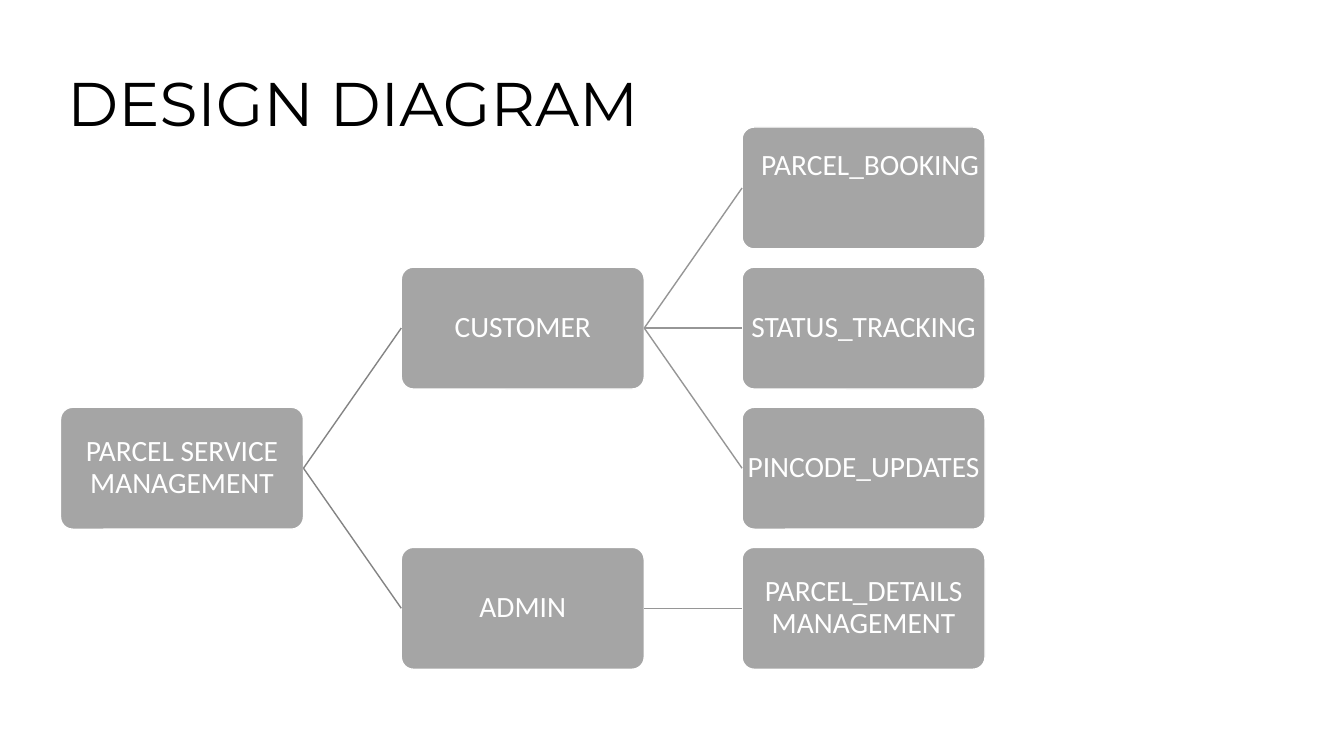
"""Build the design diagram slide: a three-level tree of rounded boxes."""
from dataclasses import dataclass

from lxml.etree import SubElement
from pptx import Presentation
from pptx.dml.color import RGBColor
from pptx.enum.shapes import MSO_CONNECTOR as CONN, MSO_SHAPE as SHAPE
from pptx.enum.text import MSO_ANCHOR as ANCHOR, PP_ALIGN as ALIGN
from pptx.oxml.ns import qn
from pptx.shapes.autoshape import Shape
from pptx.slide import Slide
from pptx.util import Pt

PX = 9144
COLORS = {"box": "A5A5A5", "white": "FFFFFF", "title": "000000",
          "trunk": "848484", "branch": "969696"}
LEFT, TOP = 60, 126
COL_STEP, ROW_STEP = 338, 139
BOX_W, BOX_H = 241, 121
INSET = 1


@dataclass(frozen=True)
class Node:
    label: str
    col: int
    row: int
    pad_left: int = 0
    pad_bottom: int = 0


@dataclass(frozen=True)
class Link:
    parent: str
    child: str
    color: str


NODES = [
    Node("PARCEL SERVICE MANAGEMENT", 0, 2),
    Node("CUSTOMER", 1, 1),
    Node("ADMIN", 1, 3),
    Node("PARCEL_BOOKING", 2, 0, pad_left=13, pad_bottom=44),
    Node("STATUS_TRACKING", 2, 1),
    Node("PINCODE_UPDATES", 2, 2),
    Node("PARCEL_DETAILS MANAGEMENT", 2, 3),
]
LINKS = [
    Link("PARCEL SERVICE MANAGEMENT", "CUSTOMER", "trunk"),
    Link("PARCEL SERVICE MANAGEMENT", "ADMIN", "trunk"),
    Link("CUSTOMER", "PARCEL_BOOKING", "branch"),
    Link("CUSTOMER", "STATUS_TRACKING", "branch"),
    Link("CUSTOMER", "PINCODE_UPDATES", "branch"),
    Link("ADMIN", "PARCEL_DETAILS MANAGEMENT", "branch"),
]


def px(n: int) -> int:
    return n * PX


def rgb(name: str) -> RGBColor:
    return RGBColor.from_string(COLORS[name])


def set_text(sp: Shape, text: str, font: str, size: int, color: str) -> None:
    tf = sp.text_frame
    tf.text = text
    tf.word_wrap = True
    r = tf.paragraphs[0].runs[0]
    r.font.name, r.font.size = font, Pt(size)
    r.font.color.rgb = rgb(color)


def add_node(s: Slide, node: Node) -> Shape:
    sp = s.shapes.add_shape(
        SHAPE.ROUNDED_RECTANGLE,
        px(LEFT + node.col * COL_STEP), px(TOP + node.row * ROW_STEP),
        px(BOX_W), px(BOX_H))
    sp.adjustments[0] = 0.1
    sp.shadow.inherit = False
    sp.fill.solid()
    sp.fill.fore_color.rgb = rgb("box")
    sp.line.color.rgb = rgb("white")
    sp.line.width = Pt(1)
    set_text(sp, node.label, "Calibri", 21, "white")
    tf = sp.text_frame
    tf.vertical_anchor = ANCHOR.MIDDLE
    tf.margin_top = tf.margin_right = px(INSET)
    tf.margin_left = px(INSET + node.pad_left)
    tf.margin_bottom = px(INSET + node.pad_bottom)
    p = tf.paragraphs[0]
    p.alignment, p.line_spacing = ALIGN.CENTER, 0.9
    return sp


def add_link(s: Slide, parent: Shape, child: Shape, color: str) -> None:
    cx = s.shapes.add_connector(CONN.STRAIGHT, 0, 0, 0, 0)
    cx.begin_connect(parent, 3)
    cx.end_connect(child, 1)
    cx.line.color.rgb = rgb(color)
    cx.line.width = Pt(1)
    SubElement(cx._element.spPr, qn("a:effectLst"))


def add_title(s: Slide, text: str) -> None:
    sp = s.shapes.add_textbox(px(57), px(59), px(685), px(84))
    set_text(sp, text, "Montserrat", 44, "title")


def main() -> None:
    prs = Presentation()
    prs.slide_width, prs.slide_height = px(1333), px(750)
    s = prs.slides.add_slide(prs.slide_layouts[6])
    boxes = {node.label: add_node(s, node) for node in NODES}
    for link in LINKS:
        add_link(s, boxes[link.parent], boxes[link.child], link.color)
    add_title(s, "DESIGN DIAGRAM")
    prs.save("out.pptx")


if __name__ == "__main__":
    main()
